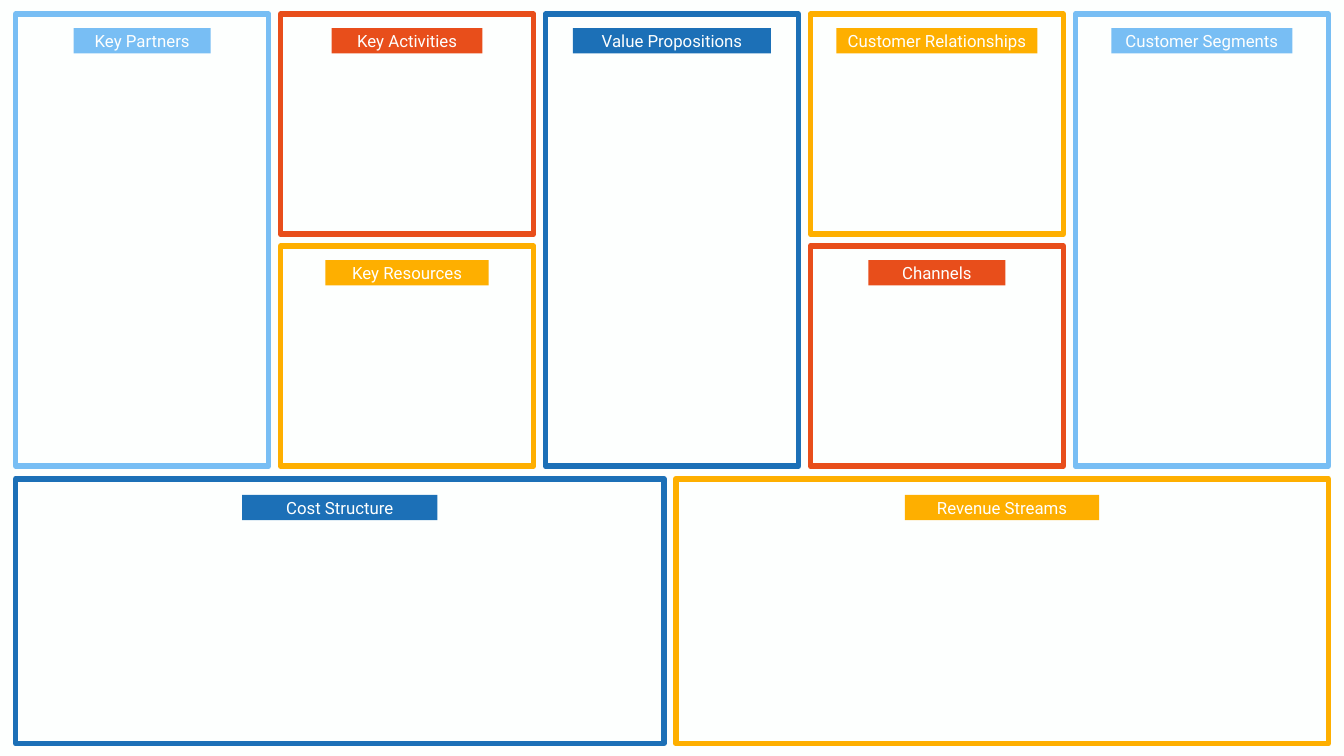
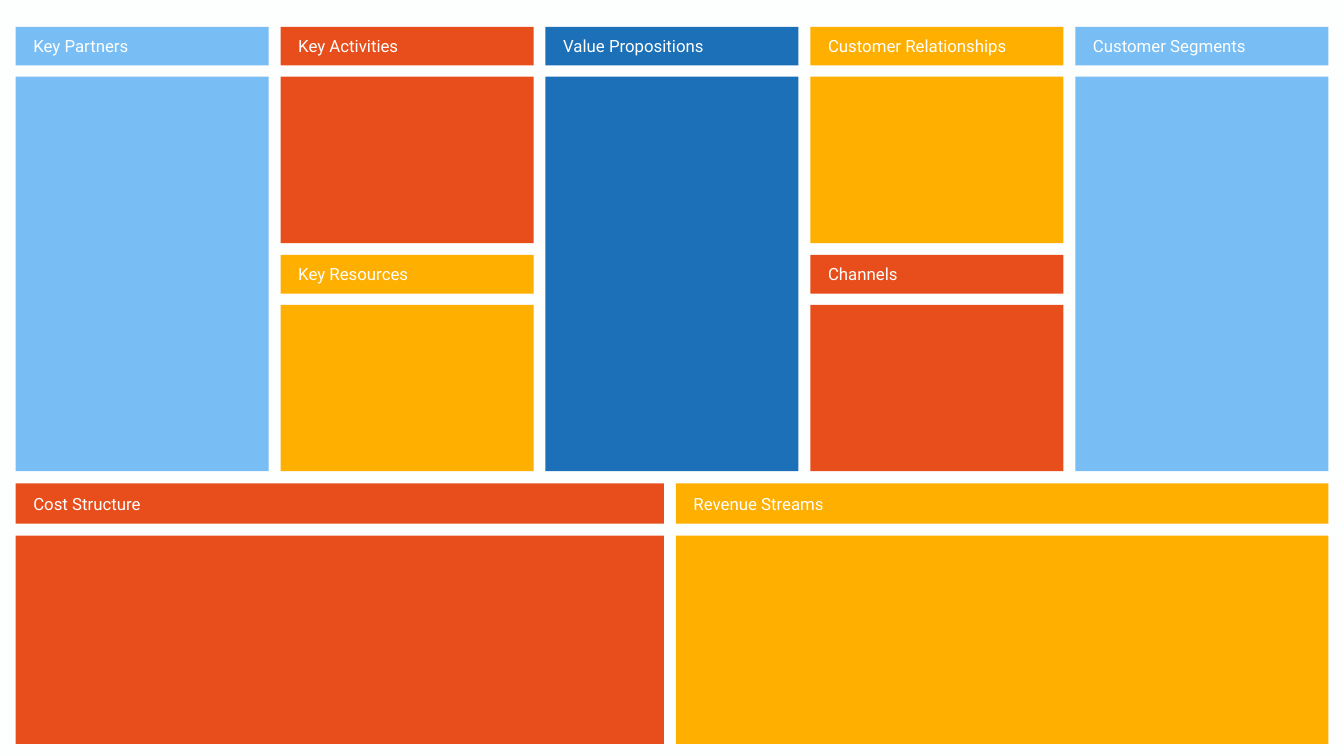
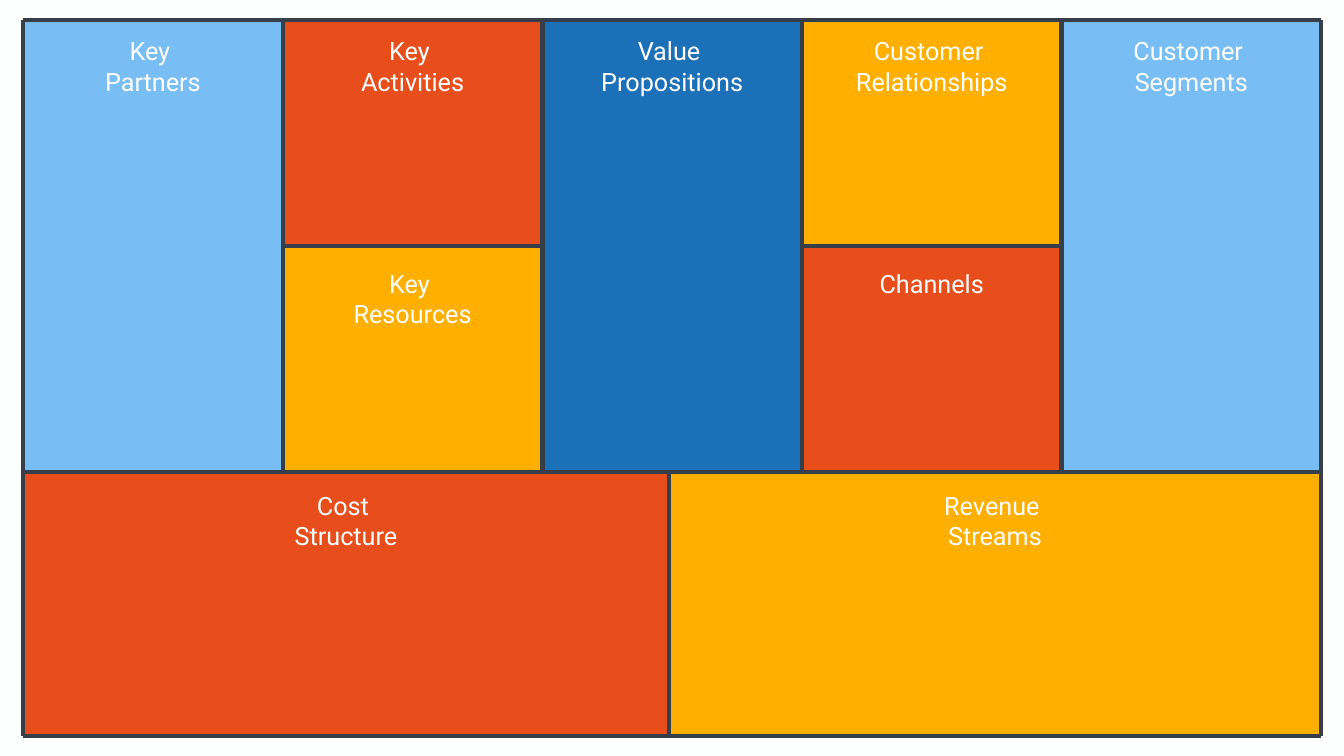
"""Build three business model canvas layouts: outlined, banded and ruled."""
from dataclasses import dataclass

from lxml import etree
from pptx import Presentation
from pptx.dml.color import RGBColor
from pptx.enum.shapes import MSO_CONNECTOR, MSO_SHAPE
from pptx.enum.text import MSO_ANCHOR, MSO_AUTO_SIZE, PP_ALIGN
from pptx.oxml.ns import qn
from pptx.util import Cm, Pt

RECTANGLE = MSO_SHAPE.RECTANGLE
PANEL = MSO_SHAPE.ROUNDED_RECTANGLE
STRAIGHT = MSO_CONNECTOR.STRAIGHT
LEFT, CENTER = PP_ALIGN.LEFT, PP_ALIGN.CENTER
TOP, MIDDLE = MSO_ANCHOR.TOP, MSO_ANCHOR.MIDDLE
GROW = MSO_AUTO_SIZE.SHAPE_TO_FIT_TEXT

COLORS = {
    "paper": "FDFFFE",
    "white": "FEFFFE",
    "sky": "78BEF4",
    "blue": "1C70B7",
    "red": "E84E1B",
    "amber": "FEAF00",
    "slate": "353E49",
}
FONT = "Roboto"


@dataclass
class Block:
    name: str
    column: int
    row: str
    color: str
    label_width: float
    caption_width: float


BLOCKS = [
    Block("Key Partners", 0, "full", "sky", 6.9, 6.9),
    Block("Key Activities", 1, "upper", "red", 7.6, 7.6),
    Block("Key Resources", 1, "lower", "amber", 8.23, 8.23),
    Block("Value Propositions", 2, "full", "blue", 9.98, 9.98),
    Block("Customer Relationships", 3, "upper", "amber", 10.13, 12.7),
    Block("Channels", 3, "lower", "red", 6.9, 6.9),
    Block("Customer Segments", 4, "full", "sky", 9.12, 12.01),
    Block("Cost Structure", 0, "bottom", "red", 9.83, 9.83),
    Block("Revenue Streams", 1, "bottom", "amber", 9.78, 9.78),
]


@dataclass
class Grid:
    left: float
    top: float
    width: float
    height: float
    gap: float
    bottom_top: float
    bottom_height: float
    split: float

    def cell(self, block):
        if block.row == "bottom":
            if block.column == 0:
                return self.left, self.bottom_top, self.split, self.bottom_height
            start = self.split + self.gap
            return self.left + start, self.bottom_top, self.width - start, self.bottom_height
        width = (self.width - 4 * self.gap) / 5
        left = self.left + block.column * (width + self.gap)
        half = (self.height - self.gap) / 2
        top = self.top + (half + self.gap if block.row == "lower" else 0)
        return left, top, width, self.height if block.row == "full" else half


class Canvas:
    def __init__(self):
        self.deck = Presentation()
        self.deck.slide_width, self.deck.slide_height = Cm(67.72), Cm(38.1)
        self.page = None

    def color(self, name):
        return RGBColor.from_string(COLORS[name])

    def new_page(self):
        self.page = self.deck.slides.add_slide(self.deck.slide_layouts[6])
        fill = self.page.background.fill
        fill.solid()
        fill.fore_color.rgb = self.color("paper")

    def shape(self, kind, left, top, width, height, fill=None, outline=None):
        shape = self.page.shapes.add_shape(kind, Cm(left), Cm(top), Cm(width), Cm(height))
        shape.shadow.inherit = False
        if kind == PANEL:
            shape.adjustments[0] = 0
        if fill:
            shape.fill.solid()
            shape.fill.fore_color.rgb = self.color(fill)
        else:
            shape.fill.background()
        if outline:
            shape.line.color.rgb = self.color(outline)
            shape.line.width = Pt(8)
        else:
            shape.line.fill.background()
        return shape

    def set_text(self, box, lines, size, align, anchor):
        frame = box.text_frame
        frame.word_wrap = True
        frame.auto_size = GROW
        frame.vertical_anchor = anchor
        frame.text = "\n".join(lines)
        for paragraph in frame.paragraphs:
            paragraph.alignment = align
            paragraph.font.name = FONT
            paragraph.font.size = Pt(size)
            paragraph.font.color.rgb = self.color("white")

    def label(self, text, left, top, width, fill):
        box = self.shape(RECTANGLE, left, top, width, 1.27, fill)
        self.set_text(box, [text], 24, CENTER, MIDDLE)

    def text(self, lines, left, top, width, height, size, align):
        box = self.page.shapes.add_textbox(Cm(left), Cm(top), Cm(width), Cm(height))
        self.set_text(box, lines, size, align, TOP)

    def rule(self, x1, y1, x2, y2):
        line = self.page.shapes.add_connector(STRAIGHT, Cm(x1), Cm(y1), Cm(x2), Cm(y2))
        line.line.color.rgb = self.color("slate")
        line.line.width = Pt(6)
        etree.SubElement(line._element.spPr, qn("a:effectLst"))


def outlined_page(canvas):
    canvas.new_page()
    grid = Grid(0.79, 0.71, 66.14, 22.78, 0.6, 24.13, 13.34, 32.66)
    for block in BLOCKS:
        left, top, width, height = grid.cell(block)
        color = "blue" if block.name == "Cost Structure" else block.color
        canvas.shape(PANEL, left, top, width, height, outline=color)
        inset = 0.81 if block.row == "bottom" else 0.71
        label_left = left + (width - block.label_width) / 2
        canvas.label(block.name, label_left, top + inset, block.label_width, color)


def banded_page(canvas):
    canvas.new_page()
    grid = Grid(0.79, 1.35, 66.14, 22.4, 0.6, 24.36, 13.13, 32.66)
    for block in BLOCKS:
        left, top, width, height = grid.cell(block)
        band, body, inset = (2.03, 2.64, 0.4) if block.row == "bottom" else (1.95, 2.51, 0.3)
        canvas.shape(PANEL, left, top + body, width, height - body, block.color)
        canvas.shape(RECTANGLE, left, top, width, band, block.color)
        canvas.text([block.name], left + 0.64, top + inset, block.caption_width, 1.5, 24, LEFT)


def ruled_page(canvas):
    canvas.new_page()
    grid = Grid(1.17, 1.02, 65.4, 22.78, 0, 23.8, 13.3, 32.53)
    insets = {"full": 0.66, "upper": 0.66, "lower": 0.97, "bottom": 0.79}
    for block in BLOCKS:
        left, top, width, height = grid.cell(block)
        canvas.shape(PANEL, left, top, width, height, block.color)
        lines = block.name.replace(" ", " \n").split("\n")
        title_width = block.caption_width + 0.2
        title_left = left + (width - title_width) / 2
        title_height = 0.25 + 1.53 * len(lines)
        canvas.text(lines, title_left, top + insets[block.row], title_width, title_height, 36, CENTER)

    right, bottom = grid.left + grid.width, grid.bottom_top + grid.bottom_height
    column = grid.width / 5
    for index in range(1, 5):
        x = grid.left + index * column
        canvas.rule(x, grid.top, x, grid.bottom_top)
    for index in (1, 3):
        x, y = grid.left + index * column, grid.top + grid.height / 2
        canvas.rule(x, y, x + column, y)
    canvas.rule(grid.left + grid.split, grid.bottom_top, grid.left + grid.split, bottom)
    for y in (grid.top, grid.bottom_top, bottom):
        canvas.rule(grid.left, y, right, y)
    for x in (grid.left, right):
        canvas.rule(x, grid.top, x, bottom)


def main():
    canvas = Canvas()
    outlined_page(canvas)
    banded_page(canvas)
    ruled_page(canvas)
    canvas.deck.save("out.pptx")


if __name__ == "__main__":
    main()
